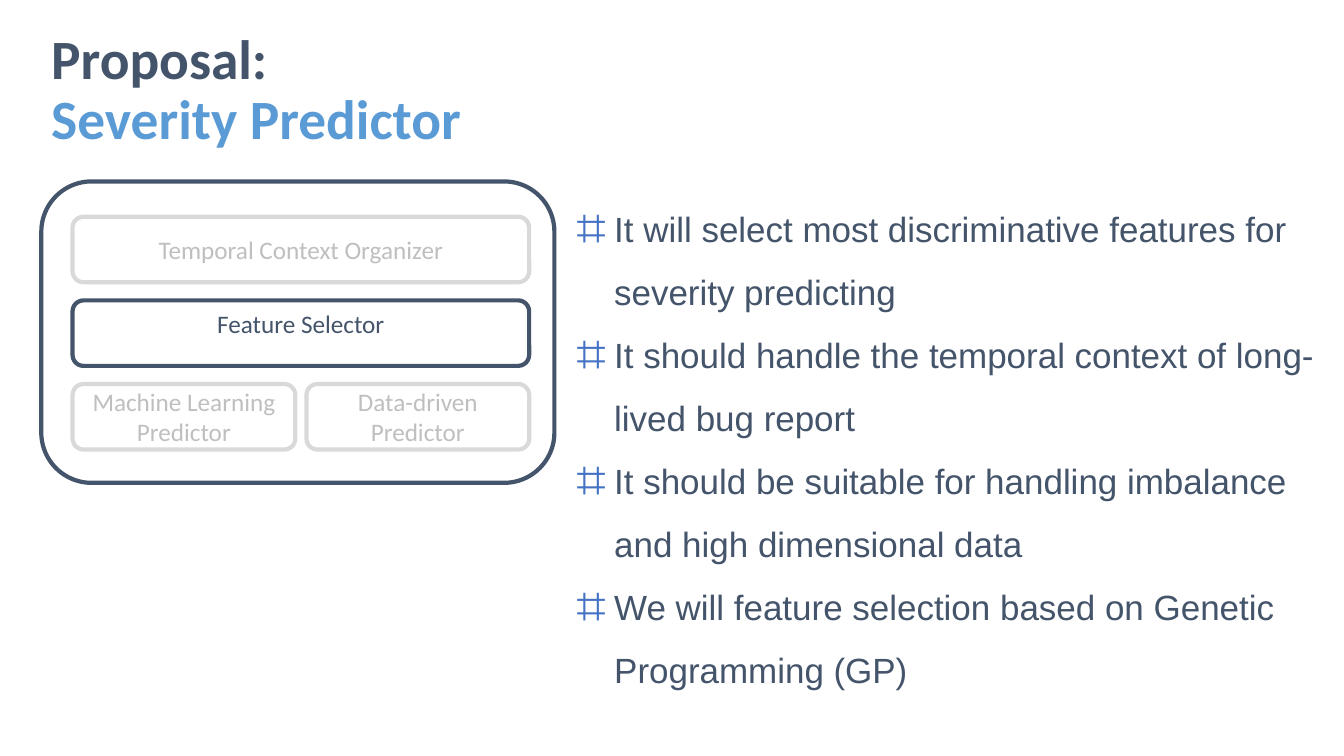
"""Build the Severity Predictor proposal slide."""
from dataclasses import dataclass

from lxml.etree import SubElement
from pptx import Presentation
from pptx.dml.color import RGBColor
from pptx.enum.shapes import MSO_SHAPE
from pptx.enum.text import MSO_ANCHOR, PP_ALIGN
from pptx.oxml.ns import qn
from pptx.util import Pt

NAVY = "44546A"
SKY = "5B9BD5"
BULLET_BLUE = "4472C4"
PALE_LINE = "D9D9D9"
PALE_TEXT = "BFBFBF"
WHITE = "FFFFFF"

MODULE_LEFT = 51.84
MODULE_TOP = 154.8
MODULE_WIDTH = 326.16
MODULE_HEIGHT = 46.8
ROW_STEP = 59.76
COLUMN_GAP = 7.92


@dataclass(frozen=True)
class Module:
    """A component of the predictor, placed by row and column."""

    lines: tuple[str, ...]
    row: int
    column: int = 0
    columns: int = 1
    line_color: str = PALE_LINE
    text_color: str = PALE_TEXT
    anchor: MSO_ANCHOR = MSO_ANCHOR.MIDDLE


MODULES = (
    Module(("Temporal Context Organizer",), 0),
    Module(("Feature Selector",), 1, line_color=NAVY, text_color=NAVY, anchor=MSO_ANCHOR.TOP),
    Module(("Machine Learning", "Predictor"), 2, 0, 2),
    Module(("Data-driven", "Predictor"), 2, 1, 2),
)

REQUIREMENTS = (
    "It will select most discriminative features for severity predicting",
    "It should handle the temporal context of long-lived bug report",
    "It should be suitable for handling imbalance and high dimensional data",
    "We will feature selection based on Genetic Programming (GP)",
)


def to_color(value: str) -> RGBColor:
    """Turn a hex string into a colour."""
    return RGBColor.from_string(value)


def add_text(paragraph, text: str, *, size: float, color: str, font: str = "Calibri", bold: bool = False) -> None:
    """Append a formatted run to a paragraph."""
    run = paragraph.add_run()
    run.text = text
    run.font.name = font
    run.font.size = Pt(size)
    run.font.bold = bold
    run.font.color.rgb = to_color(color)


def add_frame(slide, left: float, top: float, width: float, height: float):
    """Add a wrapping text box and return its text frame."""
    text_box = slide.shapes.add_textbox(Pt(left), Pt(top), Pt(width), Pt(height))
    text_box.text_frame.word_wrap = True
    return text_box.text_frame


def get_paragraph(frame, index: int):
    """Return the first paragraph of a frame or append another."""
    return frame.add_paragraph() if index else frame.paragraphs[0]


def add_rounded_box(slide, left: float, top: float, width: float, height: float, line_color: str):
    """Add a white rounded rectangle with a coloured outline."""
    shape = slide.shapes.add_shape(MSO_SHAPE.ROUNDED_RECTANGLE, Pt(left), Pt(top), Pt(width), Pt(height))
    shape.shadow.inherit = False
    shape.fill.solid()
    shape.fill.fore_color.rgb = to_color(WHITE)
    shape.line.color.rgb = to_color(line_color)
    shape.line.width = Pt(3)
    return shape


def set_bullet(paragraph, character: str, color: str, indent: float) -> None:
    """Give a paragraph a large coloured bullet and a hanging indent."""
    properties = paragraph._p.get_or_add_pPr()
    properties.set("marL", str(Pt(indent)))
    properties.set("indent", str(-Pt(indent)))
    bullet_color = SubElement(properties, qn("a:buClr"))
    SubElement(bullet_color, qn("a:srgbClr"), val=color)
    SubElement(properties, qn("a:buSzPct"), val="150000")
    SubElement(properties, qn("a:buFont"), typeface="Arial")
    SubElement(properties, qn("a:buChar"), char=character)


def add_title(slide) -> None:
    """Add the two-coloured title."""
    frame = add_frame(slide, 29.52, 28.8, 828, 73.44)
    frame.vertical_anchor = MSO_ANCHOR.MIDDLE
    paragraph = frame.paragraphs[0]
    paragraph.line_spacing = 0.9
    add_text(paragraph, "Proposal:", size=39.6, color=NAVY, bold=True)
    paragraph.add_line_break()
    add_text(paragraph, "Severity Predictor", size=39.6, color=SKY, bold=True)


def add_requirements(slide) -> None:
    """Add the bulleted list of requirements."""
    frame = add_frame(slide, 404.64, 129.6, 545.76, 365.04)
    for index, requirement in enumerate(REQUIREMENTS):
        paragraph = get_paragraph(frame, index)
        paragraph.line_spacing = 1.5
        set_bullet(paragraph, "⌗", BULLET_BLUE, 27)
        add_text(paragraph, requirement, size=25, color=NAVY, font="Arial")


def add_module(slide, module: Module) -> None:
    """Draw one module inside the predictor frame."""
    width = (MODULE_WIDTH - COLUMN_GAP * (module.columns - 1)) / module.columns
    left = MODULE_LEFT + module.column * (width + COLUMN_GAP)
    top = MODULE_TOP + module.row * ROW_STEP
    shape = add_rounded_box(slide, left, top, width, MODULE_HEIGHT, module.line_color)
    frame = shape.text_frame
    frame.word_wrap = True
    frame.vertical_anchor = module.anchor
    for index, line in enumerate(module.lines):
        paragraph = get_paragraph(frame, index)
        paragraph.alignment = PP_ALIGN.CENTER
        add_text(paragraph, line, size=18, color=module.text_color)


def main() -> None:
    """Create and save the presentation."""
    presentation = Presentation()
    presentation.slide_width = Pt(960)
    presentation.slide_height = Pt(540)
    slide = presentation.slides.add_slide(presentation.slide_layouts[6])
    add_title(slide)
    add_requirements(slide)
    add_rounded_box(slide, 29.52, 129.6, 366.48, 215.28, NAVY)
    for module in MODULES:
        add_module(slide, module)
    presentation.save("out.pptx")


if __name__ == "__main__":
    main()
